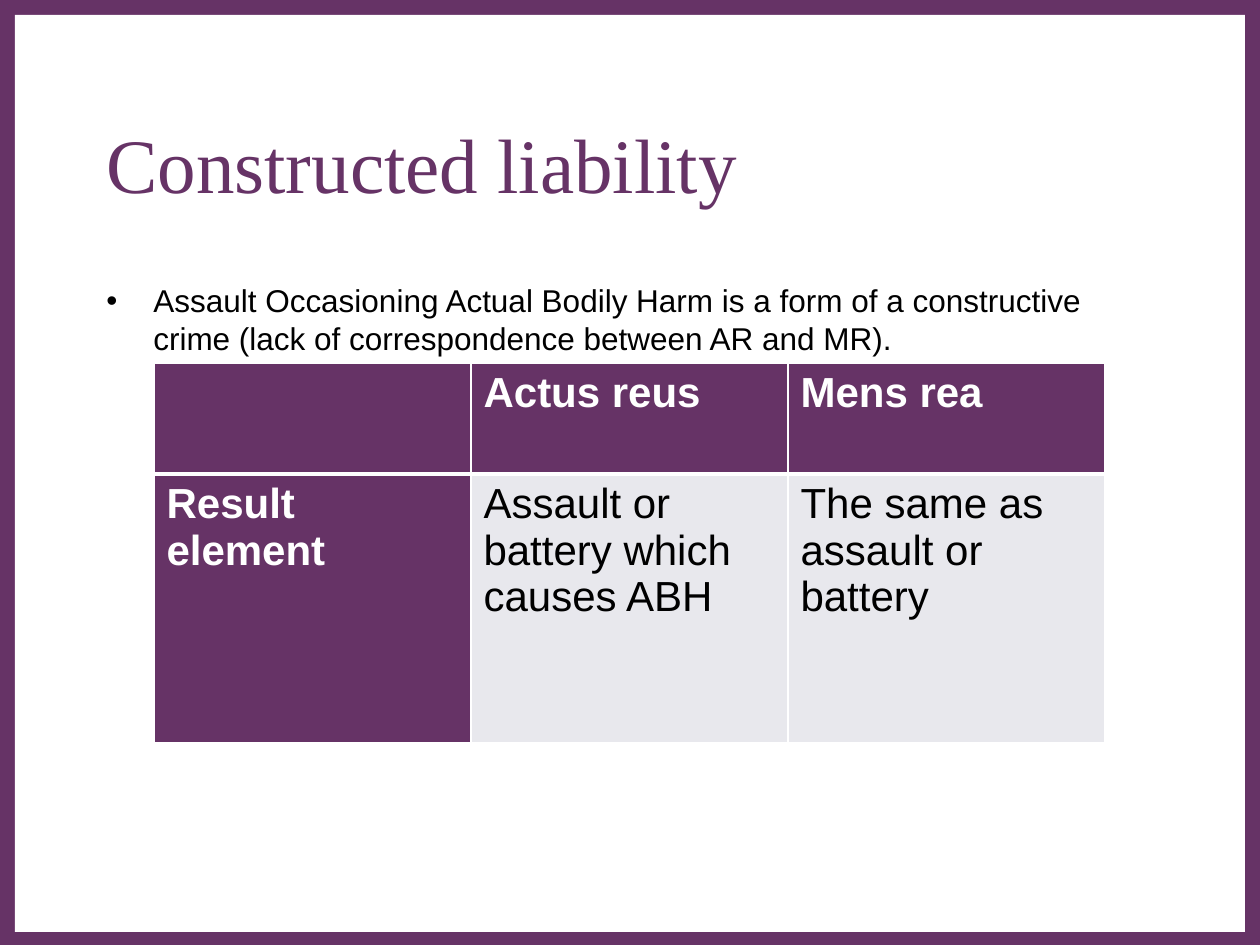
import pptx
import pptx.dml.color
import pptx.enum.shapes
import pptx.enum.text
import pptx.oxml
import pptx.oxml.ns
import pptx.util

PX = 914400 / 126
PURPLE, WHITE, BLACK, PALE = "663366", "FFFFFF", "000000", "E8E8ED"
BORDER_SIDES = ("L", "R", "T", "B")


def px(length):
    return pptx.util.Emu(round(length * PX))


def color(code):
    return pptx.dml.color.RGBColor.from_string(code)


def element(xml):
    return pptx.oxml.parse_xml(xml.replace(">", f" {pptx.oxml.ns.nsdecls('a')}>", 1))


def write(para, text, size=24, font="Arial", fill=BLACK, bold=False):
    span = para.add_run()
    span.text = text
    span.font.size = pptx.util.Pt(size)
    span.font.name = font
    span.font.bold = bold
    span.font.color.rgb = color(fill)


class SlideBuilder:
    def __init__(self, page):
        self.page = page

    def rectangle(self, left, top, width, height, fill):
        box = self.page.shapes.add_shape(
            pptx.enum.shapes.MSO_SHAPE.RECTANGLE,
            px(left), px(top), px(width), px(height))
        box.shadow.inherit = False
        box.fill.solid()
        box.fill.fore_color.rgb = color(fill)
        box.line.fill.background()

    def text(self, left, top, width, height, text, middle=False, indent=0, **style):
        box = self.page.shapes.add_textbox(px(left), px(top), px(width), px(height))
        frame = box.text_frame
        frame.word_wrap = True
        if middle:
            frame.vertical_anchor = pptx.enum.text.MSO_ANCHOR.MIDDLE
        para = frame.paragraphs[0]
        if indent:
            properties = para._p.get_or_add_pPr()
            properties.set("marL", str(px(indent)))
            properties.set("indent", str(px(-indent)))
            properties.append(element('<a:buFont typeface="Arial"></a:buFont>'))
            properties.append(element('<a:buChar char="•"></a:buChar>'))
        write(para, text, **style)

    def table(self, left, top, columns, heights, rows):
        table = self.page.shapes.add_table(
            len(heights), len(columns), px(left), px(top),
            px(sum(columns)), px(sum(heights))).table
        for column, width in zip(table.columns, columns):
            column.width = px(width)
        for row, height in zip(table.rows, heights):
            row.height = px(height)
        for r, texts in enumerate(rows):
            for c, text in enumerate(texts):
                cell = table.cell(r, c)
                heading = r == 0 or c == 0
                # The rule between heading row and body is the thick one
                thick_side = "B" if r == 0 else "T"
                self.borders(cell, thick_side)
                cell.fill.solid()
                cell.fill.fore_color.rgb = color(PURPLE if heading else PALE)
                if text:
                    write(cell.text_frame.paragraphs[0], text,
                          fill=WHITE if heading else BLACK, bold=heading)

    def borders(self, cell, thick_side):
        properties = cell._tc.get_or_add_tcPr()
        for side in BORDER_SIDES:
            width = pptx.util.Pt(3 if side == thick_side else 1)
            properties.append(element(
                f'<a:ln{side} w="{width}"><a:solidFill><a:srgbClr val="{WHITE}"/>'
                f'</a:solidFill></a:ln{side}>'))


def main():
    deck = pptx.Presentation()
    deck.slide_width, deck.slide_height = px(1260), px(945)
    builder = SlideBuilder(deck.slides.add_slide(deck.slide_layouts[6]))

    # Purple frame around a white page
    builder.rectangle(0, 0, 1260, 945, PURPLE)
    builder.rectangle(15, 15, 1230, 917, WHITE)

    # Title and bullet
    builder.text(94, 84, 1071, 158, "Constructed liability", middle=True,
                 size=44, font="Times New Roman", fill=PURPLE)
    builder.text(94, 275, 1071, 525,
                 "Assault Occasioning Actual Bodily Harm is a form of a constructive "
                 "crime (lack of correspondence between AR and MR).",
                 indent=47, size=18)

    # Elements of the offence
    builder.table(154, 363, [317] * 3, [111, 269], [
        ["", "Actus reus", "Mens rea"],
        ["Result element", "Assault or battery which causes ABH",
         "The same as assault or battery"],
    ])

    deck.save("out.pptx")


if __name__ == "__main__":
    main()
